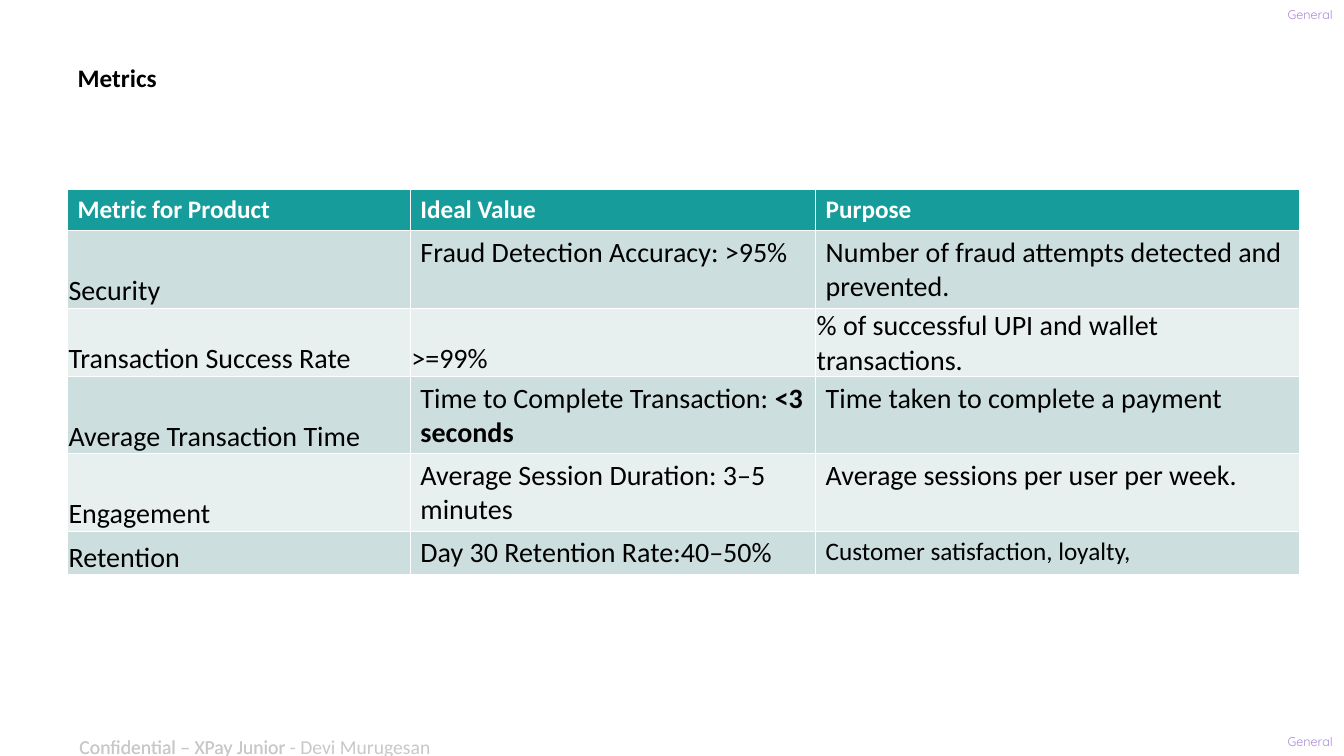
import pptx
import pptx.util
import pptx.dml.color
import pptx.enum.text
import pptx.oxml
import pptx.oxml.ns

Inches = pptx.util.Inches
Pt = pptx.util.Pt
RGBColor = pptx.dml.color.RGBColor
Anchor = pptx.enum.text.MSO_ANCHOR
Align = pptx.enum.text.PP_ALIGN

BLACK = RGBColor(0x00, 0x00, 0x00)
WHITE = RGBColor(0xFF, 0xFF, 0xFF)
TEAL = RGBColor(0x16, 0x9C, 0x9A)
DARK = RGBColor(0xCC, 0xDE, 0xDE)
LIGHT = RGBColor(0xE8, 0xEF, 0xEF)
GREY = RGBColor(0xC8, 0xC8, 0xC8)
PURPLE = RGBColor(0x55, 0x14, 0xB4)

WIDTHS = (3.4, 4.02, 4.8)
ROWS = (
    ("Metric for Product", "Ideal Value", "Purpose"),
    ("Security", "Fraud Detection Accuracy: >95%",
     "Number of fraud attempts detected and prevented."),
    ("Transaction Success Rate", ">=99%",
     "% of successful UPI and wallet transactions."),
    ("Average Transaction Time", "Time to Complete Transaction: ",
     "Time taken to complete a payment"),
    ("Engagement", "Average Session Duration: 3–5 minutes",
     "Average sessions per user per week."),
    ("Retention", "Day 30 Retention Rate:40–50%",
     "Customer satisfaction, loyalty,\u00a0"),
)
RATE_ROW = 2
TIME_ROW = 3
FOOTER = "Confidential – XPay Junior"


def style(run, size, color, bold=False, face="Calibri"):
    font = run.font
    font.name = face
    font.size = Pt(size)
    font.bold = bold
    font.color.rgb = color


def place(shape, left, top, width, height):
    shape.left, shape.top = Inches(left), Inches(top)
    shape.width, shape.height = Inches(width), Inches(height)


def add_title(slide):
    title = slide.shapes.title
    place(title, 0.67, 0.6, 11.65, 1.24)
    frame = title.text_frame
    frame.text = "Metrics"
    frame.vertical_anchor = Anchor.TOP
    line = frame.paragraphs[0]
    line.alignment = Align.LEFT
    line.line_spacing = 0.9
    style(line.runs[0], 18, BLACK, True)


def add_label(slide, top):
    """Half-transparent class mark at the right edge."""
    box = slide.shapes.add_textbox(Inches(12.77), Inches(top),
                                   Inches(0.53), Inches(0.15))
    frame = box.text_frame
    frame.word_wrap = True
    frame.margin_left = frame.margin_right = 0
    frame.margin_top = frame.margin_bottom = 0
    frame.text = "General"
    run = frame.paragraphs[0].runs[0]
    style(run, 9, PURPLE, face="Quicksand")
    color = run.font.fill._xPr.find(".//" + pptx.oxml.ns.qn("a:srgbClr"))
    color.append(pptx.oxml.parse_xml(
        "<a:alpha %s val='50000'/>" % pptx.oxml.ns.nsdecls("a")))


def add_footer(slide, text, width):
    box = slide.shapes.add_textbox(Inches(0.69), Inches(6.94),
                                   Inches(width), Inches(0.69))
    frame = box.text_frame
    frame.word_wrap = True
    frame.margin_top = Inches(0.35)
    frame.text = text
    style(frame.paragraphs[0].runs[0], 14, GREY)


def fill_cell(cell, row, col, text):
    head = row == 0
    cell.fill.solid()
    cell.fill.fore_color.rgb = TEAL if head else DARK if row % 2 else LIGHT
    cell.text_frame.text = text
    if row == RATE_ROW or (col == 0 and not head):
        cell.vertical_anchor = Anchor.BOTTOM
        cell.margin_left = cell.margin_right = Inches(0.01)
        cell.margin_top = Inches(0.01)
        cell.margin_bottom = 0
    last = (row, col) == (len(ROWS) - 1, len(WIDTHS) - 1)
    style(cell.text_frame.paragraphs[0].runs[0], 18 if head or last else 20,
          WHITE if head else BLACK, head)


def add_metrics(slide):
    frame = slide.shapes.add_table(len(ROWS), len(WIDTHS), Inches(0.67),
                                   Inches(1.88), Inches(12.22), Inches(4.15))
    table = frame.table
    for col, width in enumerate(WIDTHS):
        table.columns[col].width = Inches(width)
    for row, texts in enumerate(ROWS):
        table.rows[row].height = Inches(0.41)
        for col, text in enumerate(texts):
            fill_cell(table.cell(row, col), row, col, text)
    goal = table.cell(TIME_ROW, 1).text_frame.paragraphs[0].add_run()
    goal.text = "<3 seconds"
    style(goal, 20, BLACK, True)
    frame.height = Inches(4.15)


def main():
    deck = pptx.Presentation()
    deck.slide_width = Inches(13.33)
    deck.slide_height = Inches(7.5)
    slide = deck.slides.add_slide(deck.slide_layouts[5])
    for top in (0.07, 7.28):
        add_label(slide, top)
    add_title(slide)
    add_metrics(slide)
    add_footer(slide, FOOTER, 5.56)
    add_footer(slide, FOOTER + " - Devi Murugesan", 6.94)
    deck.save("out.pptx")


if __name__ == "__main__":
    main()
